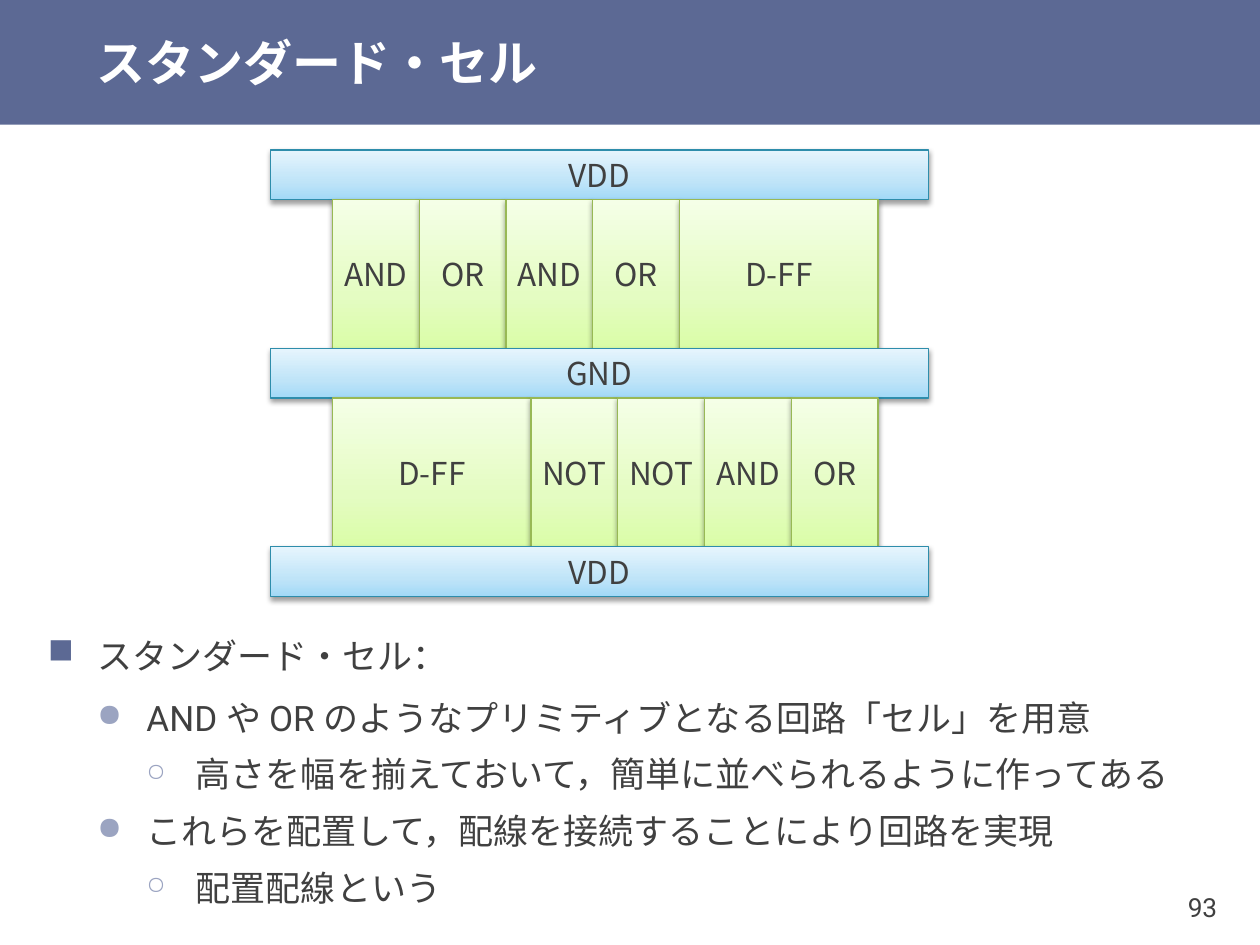
"""Build the standard-cell slide: power rails, cell rows and an outline."""
from pptx import Presentation
from pptx.dml.color import RGBColor
from pptx.enum.shapes import MSO_SHAPE
from pptx.enum.text import MSO_ANCHOR, PP_ALIGN
from pptx.oxml import parse_xml
from pptx.oxml.ns import nsdecls, qn
from pptx.util import Pt

RECTANGLE = MSO_SHAPE.RECTANGLE
MIDDLE = MSO_ANCHOR.MIDDLE
LEFT, CENTER, RIGHT = PP_ALIGN.LEFT, PP_ALIGN.CENTER, PP_ALIGN.RIGHT

BANNER = RGBColor(0x5C, 0x69, 0x94)
WHITE = RGBColor(0xFF, 0xFF, 0xFF)
INK = RGBColor(0x40, 0x40, 0x40)
PALE = RGBColor(0x9B, 0xA4, 0xC1)
RAIL_LINE = RGBColor(0x2E, 0x8D, 0xAB)
CELL_LINE = RGBColor(0x98, 0xB9, 0x55)
RAIL_STOPS = [(0, RGBColor(0xA2, 0xD9, 0xF7)), (35, RGBColor(0xBF, 0xE4, 0xF8)),
              (100, RGBColor(0xE6, 0xF5, 0xFD))]
CELL_STOPS = [(0, RGBColor(0xDA, 0xFD, 0xA7)), (35, RGBColor(0xE4, 0xFC, 0xC2)),
              (100, RGBColor(0xF5, 0xFF, 0xE7))]
LATIN, CJK = "Roboto", "Noto Sans CJK JP"

TITLE = "スタンダード・セル"
PAGE = "93"
RAILS = ["VDD", "GND", "VDD"]
CELL_ROWS = [["AND", "OR", "AND", "OR", "D-FF"], ["D-FF", "NOT", "NOT", "AND", "OR"]]
OUTLINE = [
    (0, "スタンダード・セル："),
    (1, "AND や OR のようなプリミティブとなる回路「セル」を用意"),
    (2, "高さを幅を揃えておいて，簡単に並べられるように作ってある"),
    (1, "これらを配置して，配線を接続することにより回路を実現"),
    (2, "配置配線という"),
]
BULLETS = [("■", BANNER, 100), ("●", PALE, 90), ("○", PALE, 70)]

RAIL_LEFT, RAIL_TOP, RAIL_WIDTH, RAIL_HEIGHT = 154.5, 85.7, 376, 28.35
CELL_LEFT, CELL_HEIGHT = 190, 85.05
GATE_WIDTH, FLIPFLOP_WIDTH = 49.6, 113.4
INDENT = 28.2


def style(paragraph, size, color, font=LATIN, bold=False, align=LEFT):
    paragraph.alignment = align
    for run in paragraph.runs:
        run.font.size = Pt(size)
        run.font.name = font
        run.font.bold = bold
        run.font.color.rgb = color
        run.font._element.find(qn("a:latin")).addnext(
            parse_xml(f'<a:ea {nsdecls("a")} typeface="{CJK}"/>'))


def add_label(slide, box, margins, wrap=True):
    frame = slide.shapes.add_textbox(*map(Pt, box)).text_frame
    frame.word_wrap = wrap
    frame.vertical_anchor = MIDDLE
    frame.margin_left = frame.margin_right = Pt(margins[0])
    frame.margin_top = frame.margin_bottom = Pt(margins[1])
    return frame


def add_block(slide, box, label, stops, line):
    block = slide.shapes.add_shape(RECTANGLE, *map(Pt, box))
    block.shadow.inherit = False
    block.fill.gradient()
    block.fill.gradient_angle = 90
    block.line.color.rgb = line
    block.line.width = Pt(0.75)
    properties = block._element.spPr
    stop_list = properties.find(qn("a:gradFill")).find(qn("a:gsLst"))
    for old in list(stop_list):
        stop_list.remove(old)
    for position, color in stops:
        stop_list.append(parse_xml(
            f'<a:gs {nsdecls("a")} pos="{position * 1000}"><a:srgbClr val="{color}"/></a:gs>'))
    properties.find(qn("a:effectLst")).append(parse_xml(
        f'<a:outerShdw {nsdecls("a")} blurRad="{Pt(3.1)}" dist="{Pt(1.6)}" dir="5400000"'
        ' rotWithShape="0"><a:srgbClr val="000000"><a:alpha val="38000"/></a:srgbClr>'
        '</a:outerShdw>'))
    frame = block.text_frame
    frame.word_wrap = False
    frame.vertical_anchor = MIDDLE
    frame.text = label
    style(frame.paragraphs[0], 18, INK, CJK, align=CENTER)


def add_cells(slide, top, cells):
    left = CELL_LEFT
    for cell in cells:
        width = FLIPFLOP_WIDTH if cell == "D-FF" else GATE_WIDTH
        add_block(slide, (left, top, width, CELL_HEIGHT), cell, CELL_STOPS, CELL_LINE)
        left += width


def add_outline(slide):
    frame = add_label(slide, (20.2, 383, 680.4, 113), (7.2, 3.6))
    frame.text = "\n".join(text for _, text in OUTLINE)
    for index, (level, _) in enumerate(OUTLINE):
        paragraph = frame.paragraphs[index]
        paragraph.level = level
        paragraph.line_spacing = 1.1
        paragraph.space_before = Pt(3 if index else 0)
        paragraph.space_after = Pt(3 if level else 6)
        symbol, color, size = BULLETS[level]
        properties = paragraph._p.get_or_add_pPr()
        properties.set("marL", str(Pt(INDENT * (level + 1))))
        properties.set("indent", str(Pt(-INDENT)))
        for bullet in (f'<a:buClr {nsdecls("a")}><a:srgbClr val="{color}"/></a:buClr>',
                       f'<a:buSzPct {nsdecls("a")} val="{size * 1000}"/>',
                       f'<a:buChar {nsdecls("a")} char="{symbol}"/>'):
            properties.append(parse_xml(bullet))
        style(paragraph, 20, INK)


def main():
    deck = Presentation()
    deck.slide_width, deck.slide_height = Pt(720), Pt(540)
    slide = deck.slides.add_slide(deck.slide_layouts[6])

    banner = slide.shapes.add_shape(RECTANGLE, Pt(0), Pt(0), Pt(720), Pt(71.3))
    banner.shadow.inherit = False
    banner.fill.solid()
    banner.fill.fore_color.rgb = BANNER
    banner.line.fill.background()

    page = add_label(slide, (643.7, 496.8, 56.9, 43.2), (5, 2.9), wrap=False)
    page.text = PAGE
    style(page.paragraphs[0], 15, INK, align=RIGHT)

    title = add_label(slide, (48.2, 0, 671.8, 71.3), (7.2, 0))
    title.text = TITLE
    style(title.paragraphs[0], 28, WHITE, bold=True)

    add_outline(slide)

    for row, rail in enumerate(RAILS):
        top = RAIL_TOP + row * (RAIL_HEIGHT + CELL_HEIGHT)
        add_block(slide, (RAIL_LEFT, top, RAIL_WIDTH, RAIL_HEIGHT), rail, RAIL_STOPS, RAIL_LINE)
        if row < len(CELL_ROWS):
            add_cells(slide, top + RAIL_HEIGHT, CELL_ROWS[row])

    deck.save("out.pptx")


if __name__ == "__main__":
    main()
